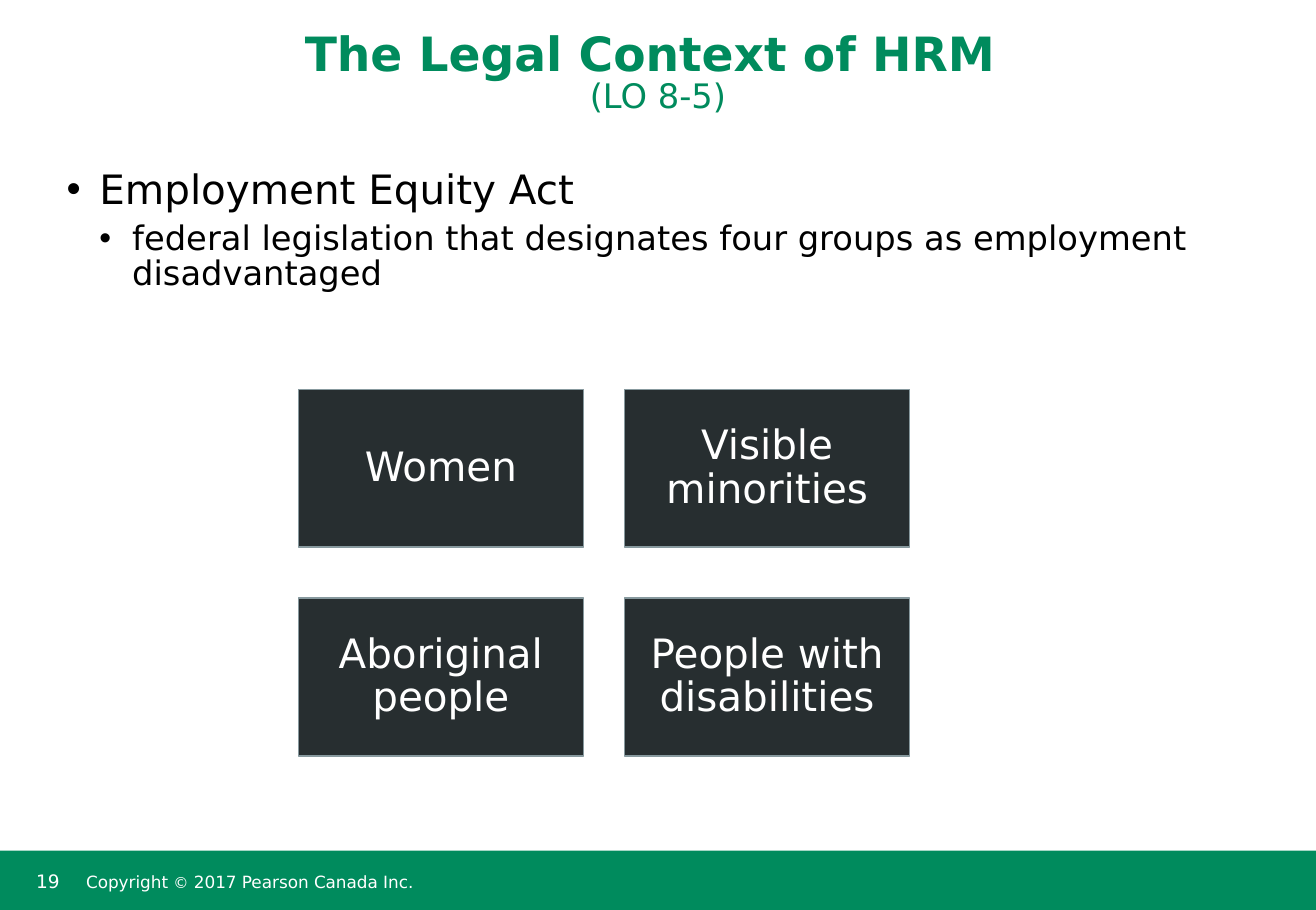
"""Build the slide on the Employment Equity Act and its four designated groups."""
from lxml import etree
from pptx import Presentation
from pptx.dml.color import RGBColor
from pptx.enum.shapes import MSO_SHAPE
from pptx.enum.text import MSO_ANCHOR, MSO_AUTO_SIZE, PP_ALIGN
from pptx.oxml.ns import qn
from pptx.util import Inches, Pt

RECTANGLE = MSO_SHAPE.RECTANGLE
TOP, MIDDLE, BOTTOM = MSO_ANCHOR.TOP, MSO_ANCHOR.MIDDLE, MSO_ANCHOR.BOTTOM
LEFT, CENTER = PP_ALIGN.LEFT, PP_ALIGN.CENTER
NO_AUTOFIT = MSO_AUTO_SIZE.NONE

FONT = "DejaVu Sans"
GREEN, DARK, EDGE, WHITE, BLACK = "008B5D", "272E30", "87999E", "FFFFFF", "000000"
PAGE_WIDTH, PAGE_HEIGHT = 10.85, 7.5

TITLE = [("The Legal Context of HRM \v", 28, True), ("(LO 8-5)", 20, False)]
BULLETS = [
    ("Employment Equity Act", 24),
    ("federal legislation that designates four groups as employment disadvantaged", 20),
]
GROUPS = ["Women", "Visible minorities", "Aboriginal people", "People with disabilities"]
PAGE_NUMBER = [("19", 11, False)]
COPYRIGHT = [("Copyright ", 10, False), ("©", 9, False),
             (" 2017 Pearson Canada Inc.", 10, False)]

GRID_LEFT, GRID_TOP, COLUMNS = 2.46, 3.21, 2
TILE_WIDTH, TILE_HEIGHT = 2.35, 1.3
COLUMN_STEP, ROW_STEP = 2.69, 1.72
BAR_TOP, BAR_HEIGHT = 7.01, 0.49
INDENT = 0.27


def color(value):
    return RGBColor.from_string(value)


def place(shape, left, top, width, height):
    shape.left, shape.top = Inches(left), Inches(top)
    shape.width, shape.height = Inches(width), Inches(height)


def set_frame(shape, anchor, insets=(0.1, 0.05, 0.1, 0.05)):
    frame = shape.text_frame
    frame.word_wrap = True
    frame.auto_size = NO_AUTOFIT
    frame.vertical_anchor = anchor
    (frame.margin_left, frame.margin_top,
     frame.margin_right, frame.margin_bottom) = map(Inches, insets)
    return frame


def set_paragraph(para, align, spacing, after, text_color, size=None):
    para.alignment = align
    para.line_spacing = spacing
    para.space_before = Pt(0)
    para.space_after = Pt(after)
    para.font.name = FONT
    para.font.color.rgb = color(text_color)
    if size:
        para.font.size = Pt(size)


def add_spans(para, spans):
    for text, size, bold in spans:
        para.add_line_break() if text.startswith("\v") else None
        span = para.add_run()
        span.text = text.rstrip("\v")
        span.font.size = Pt(size)
        span.font.bold = bold
        if text.endswith("\v"):
            para.add_line_break()


def add_bullet(para, level):
    para.level = level
    properties = para._p.get_or_add_pPr()
    properties.set("marL", str(Inches(INDENT * (level + 1))))
    properties.set("indent", str(-Inches(INDENT)))
    bullet_color = etree.SubElement(properties, qn("a:buClr"))
    etree.SubElement(bullet_color, qn("a:srgbClr"), val=BLACK)
    etree.SubElement(properties, qn("a:buChar"), char="•")


def add_rectangle(page, bounds, fill, line=None):
    shape = page.shapes.add_shape(RECTANGLE, *map(Inches, bounds))
    shape.shadow.inherit = False
    shape.fill.solid()
    shape.fill.fore_color.rgb = color(fill)
    if line:
        shape.line.color.rgb = color(line)
        shape.line.width = Pt(1)
    else:
        shape.line.fill.background()
    return shape


def add_footer_text(page, bounds, spans, anchor, insets, spacing):
    box = page.shapes.add_textbox(*map(Inches, bounds))
    para = set_frame(box, anchor, insets).paragraphs[0]
    set_paragraph(para, LEFT, spacing, 0, WHITE)
    add_spans(para, spans)


def main():
    deck = Presentation()
    deck.slide_width, deck.slide_height = Inches(PAGE_WIDTH), Inches(PAGE_HEIGHT)
    page = deck.slides.add_slide(deck.slide_layouts[1])
    title, body = page.placeholders

    place(title, 0, 0, PAGE_WIDTH, 1)
    para = set_frame(title, BOTTOM).paragraphs[0]
    set_paragraph(para, CENTER, 0.85, 6.5, GREEN)
    add_spans(para, TITLE)

    place(body, 0.45, 1.36, 9.95, 1.33)
    frame = set_frame(body, TOP)
    for level, (text, size) in enumerate(BULLETS):
        para = frame.add_paragraph() if level else frame.paragraphs[0]
        para.text = text
        add_bullet(para, level)
        set_paragraph(para, LEFT, 0.85, 6.5, BLACK, size)

    for index, group in enumerate(GROUPS):
        row, column = divmod(index, COLUMNS)
        bounds = (GRID_LEFT + column * COLUMN_STEP, GRID_TOP + row * ROW_STEP,
                  TILE_WIDTH, TILE_HEIGHT)
        tile = add_rectangle(page, bounds, DARK, EDGE)
        para = set_frame(tile, MIDDLE, (0.11,) * 4).paragraphs[0]
        para.text = group
        set_paragraph(para, CENTER, 0.9, 10.5, WHITE, 24)

    add_rectangle(page, (0, BAR_TOP, PAGE_WIDTH, BAR_HEIGHT), GREEN)
    add_footer_text(page, (0.2, 7.12, 0.47, 0.32), PAGE_NUMBER, TOP,
                    (0.1, 0.05, 0.1, 0.05), 1.0)
    add_footer_text(page, (0.66, BAR_TOP, 5.78, BAR_HEIGHT), COPYRIGHT, MIDDLE,
                    (0.05, 0.1, 0.05, 0.05), 0.85)
    deck.save("out.pptx")


if __name__ == "__main__":
    main()
